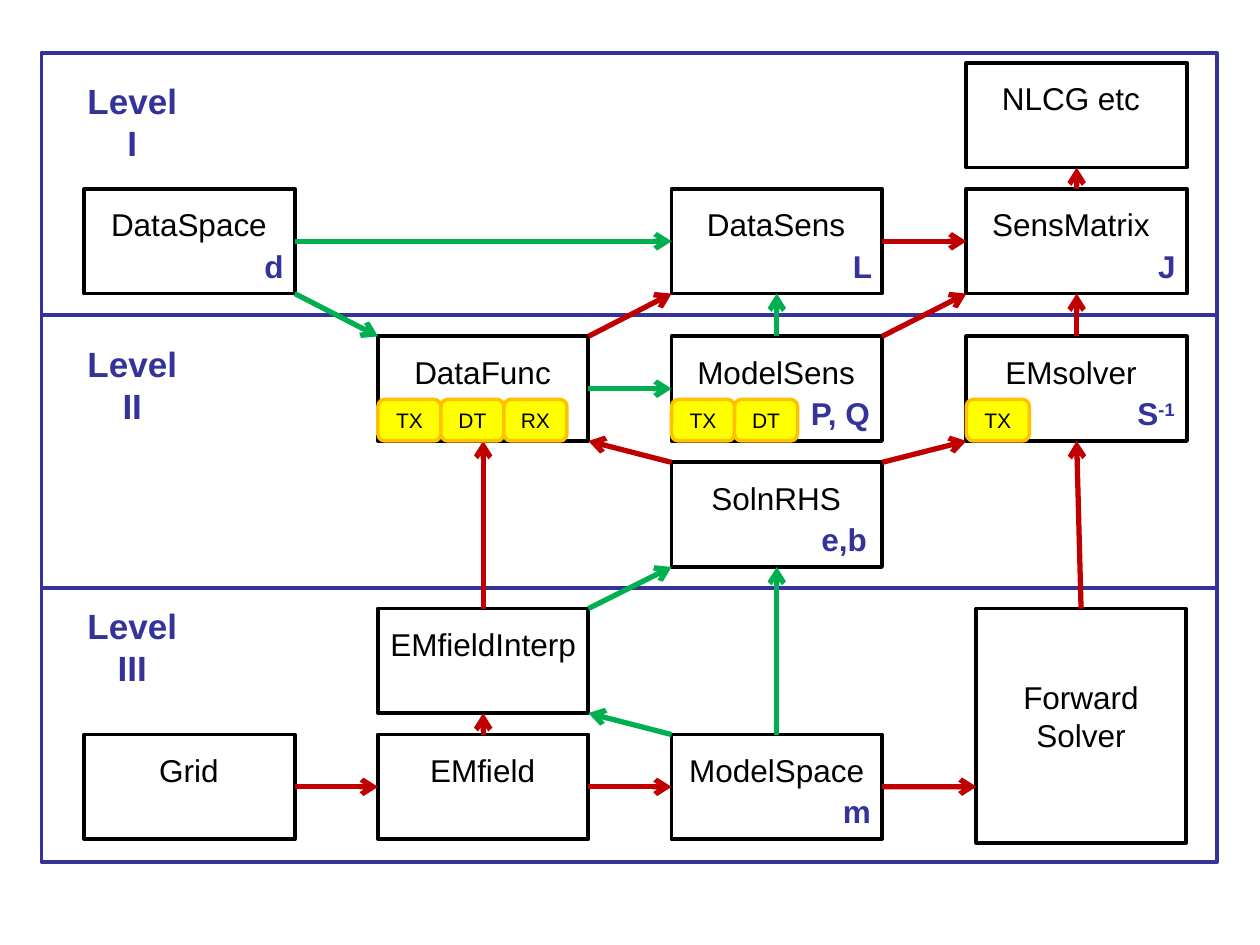
import pptx
import pptx.util
import pptx.dml.color
import pptx.enum.shapes
import pptx.enum.text
import pptx.oxml
from pptx.util import Inches

THEME = {
    "font": "Arial", "navy": "333399", "black": "000000", "red": "C00000",
    "green": "00B050", "yellow": "FFFF00", "amber": "FFC000",
    "name": 18, "level": 20, "badge": 12,
    "box_line": 2.25, "arrow_line": 3, "badge_line": 2,
}
LEVELS = [
    ("Level II", 2.5, 2.17, 2.67),
    ("Level III", 4.67, 2.17, 4.75),
    ("Level I", 0.42, 2.08, 0.58),
]
COLUMNS = [(0.67, 1.67), (3, 1.67), (5.33, 1.67), (7.67, 1.75)]
BOX_HEIGHT = 0.83
GRID_BOXES = [
    ("Grid", 0, 5.83), ("EMfield", 1, 5.83), ("ModelSpace", 2, 5.83),
    ("EMfieldInterp", 1, 4.83), ("SolnRHS", 2, 3.67),
    ("DataFunc", 1, 2.67), ("ModelSens", 2, 2.67), ("EMsolver", 3, 2.67),
    ("SensMatrix", 3, 1.5), ("DataSpace", 0, 1.5), ("DataSens", 2, 1.5),
    ("NLCG etc", 3, 0.5),
]
LABEL_OFFSET = (0.08, 0.08, 1.5)
LABEL_EXCEPTIONS = {
    "EMfieldInterp": (-0.08, 0.08, 1.83),
    "ModelSpace": (0, 0.08, 1.67),
    "Forward Solver": (0.08, 0.5, 1.5),
}
SITES = {
    "top": (0.5, 0), "bottom": (0.5, 1), "left": (0, 0.5), "right": (1, 0.5),
    "top left": (0, 0), "top right": (1, 0),
    "bottom left": (0, 1), "bottom right": (1, 1), "low left": (0, 0.76),
}
ARROWS = [
    ("DataSpace", "right", "DataSens", "left", "green"),
    ("DataSpace", "bottom right", "DataFunc", "top left", "green"),
    ("DataFunc", "right", "ModelSens", "left", "green"),
    ("DataFunc", "top right", "DataSens", "bottom left", "red"),
    ("DataSens", "right", "SensMatrix", "left", "red"),
    ("ModelSpace", "right", "Forward Solver", "low left", "red"),
    ("ModelSens", "top", "DataSens", "bottom", "green"),
    ("ModelSens", "top right", "SensMatrix", "bottom left", "red"),
    ("EMsolver", "top", "SensMatrix", "bottom", "red"),
    ("SensMatrix", "top", "NLCG etc", "bottom", "red"),
    ("SolnRHS", "top right", "EMsolver", "bottom left", "red"),
    ("SolnRHS", "top left", "DataFunc", "bottom right", "red"),
    ("Grid", "right", "EMfield", "left", "red"),
    ("EMfield", "right", "ModelSpace", "left", "red"),
    ("EMfield", "top", "EMfieldInterp", "bottom", "red"),
    ("EMfieldInterp", "top", "DataFunc", "bottom", "red"),
    ("Forward Solver", "top", "EMsolver", "bottom", "red"),
    ("ModelSpace", "top", "SolnRHS", "bottom", "green"),
    ("ModelSpace", "top left", "EMfieldInterp", "bottom right", "green"),
    ("EMfieldInterp", "top right", "SolnRHS", "bottom left", "green"),
]
SYMBOLS = [
    ("EMsolver", "S", "-1", 8.88, 0.59), ("SensMatrix", "J", "", 9.09, 0.34),
    ("SolnRHS", "e,b", "", 6.42, 0.56), ("DataSpace", "d", "", 2, 0.35),
    ("ModelSpace", "m", "", 6.59, 0.42), ("ModelSens", "P, Q", "", 6.32, 0.7),
    ("DataSens", "L", "", 6.67, 0.35),
]
BADGES = {"DataFunc": ["TX", "DT", "RX"], "ModelSens": ["TX", "DT"], "EMsolver": ["TX"]}
BADGE_SIZE = (0.5, 0.33)


def rgb(name):
    return pptx.dml.color.RGBColor.from_string(THEME[name])


def add_box(s, frame, line, weight, fill=None, rounded=False):
    kinds = pptx.enum.shapes.MSO_SHAPE
    kind = kinds.ROUNDED_RECTANGLE if rounded else kinds.RECTANGLE
    sp = s.shapes.add_shape(kind, *map(Inches, frame))
    sp.shadow.inherit = False
    if fill:
        sp.fill.solid()
        sp.fill.fore_color.rgb = rgb(fill)
    else:
        sp.fill.background()
    sp.line.color.rgb = rgb(line)
    sp.line.width = pptx.util.Pt(THEME[weight])
    return sp


def set_text(tf, text, size, color, bold=False, before=0, superscript=""):
    p = tf.paragraphs[0]
    p.text = text
    p.alignment = pptx.enum.text.PP_ALIGN.CENTER
    p.space_before = pptx.util.Pt(before)
    if superscript:
        r = p.add_run()
        r.text = superscript
        r.font._element.set("baseline", "30000")
    for r in p.runs:
        r.font.name = THEME["font"]
        r.font.size = pptx.util.Pt(THEME[size])
        r.font.bold = bold
        r.font.color.rgb = rgb(color)


def add_label(s, frame, text, size, color, wrap=True, **style):
    tf = s.shapes.add_textbox(*map(Inches, frame)).text_frame
    tf.word_wrap = wrap
    tf.auto_size = pptx.enum.text.MSO_AUTO_SIZE.SHAPE_TO_FIT_TEXT
    set_text(tf, text, size, color, **style)


def site_point(frame, site):
    x, y, w, h = frame
    fx, fy = SITES[site]
    return Inches(x + fx * w), Inches(y + fy * h)


def add_arrow(s, start, end, color):
    line = s.shapes.add_connector(pptx.enum.shapes.MSO_CONNECTOR.STRAIGHT, *start, *end)
    line.line.color.rgb = rgb(color)
    line.line.width = pptx.util.Pt(THEME["arrow_line"])
    ns = pptx.oxml.ns.nsdecls("a")
    line.line._get_or_add_ln().append(pptx.oxml.parse_xml(f'<a:tailEnd {ns} type="arrow"/>'))
    line._element.spPr.append(pptx.oxml.parse_xml(f"<a:effectLst {ns}/>"))


def main():
    prs = pptx.Presentation()
    prs.slide_width, prs.slide_height = Inches(10), Inches(7.5)
    s = prs.slides.add_slide(prs.slide_layouts[6])

    frames = {name: (COLUMNS[col][0], top, COLUMNS[col][1], BOX_HEIGHT)
              for name, col, top in GRID_BOXES}
    frames["Forward Solver"] = (7.75, 4.83, 1.66, 1.86)

    for _, top, height, _ in LEVELS:
        add_box(s, (0.33, top, 9.33, height), "navy", "box_line")
    for frame in frames.values():
        add_box(s, frame, "black", "box_line")
    for name, (x, y, _, _) in frames.items():
        dx, dy, width = LABEL_EXCEPTIONS.get(name, LABEL_OFFSET)
        height = 0.7 if name == "Forward Solver" else 0.4
        add_label(s, (x + dx, y + dy, width, height), name, "name", "black", before=11.2)
    for text, _, _, top in LEVELS:
        add_label(s, (0.58, top, 0.94, 0.77), text, "level", "navy", bold=True, before=12.5)

    for source, out_site, target, in_site, color in ARROWS:
        add_arrow(s, site_point(frames[source], out_site),
                  site_point(frames[target], in_site), color)

    for name, text, power, left, width in SYMBOLS:
        add_label(s, (left, frames[name][1] + 0.41, width, 0.4), text, "name", "navy",
                  wrap=False, bold=True, before=4.5, superscript=power)

    w, h = BADGE_SIZE
    for name, badges in BADGES.items():
        x, y = frames[name][:2]
        for i, text in enumerate(badges):
            sp = add_box(s, (x + i * w, y + 0.5, w, h), "amber", "badge_line", "yellow", True)
            sp.text_frame.vertical_anchor = pptx.enum.text.MSO_ANCHOR.MIDDLE
            set_text(sp.text_frame, text, "badge", "black")

    prs.save("out.pptx")


if __name__ == "__main__":
    main()
